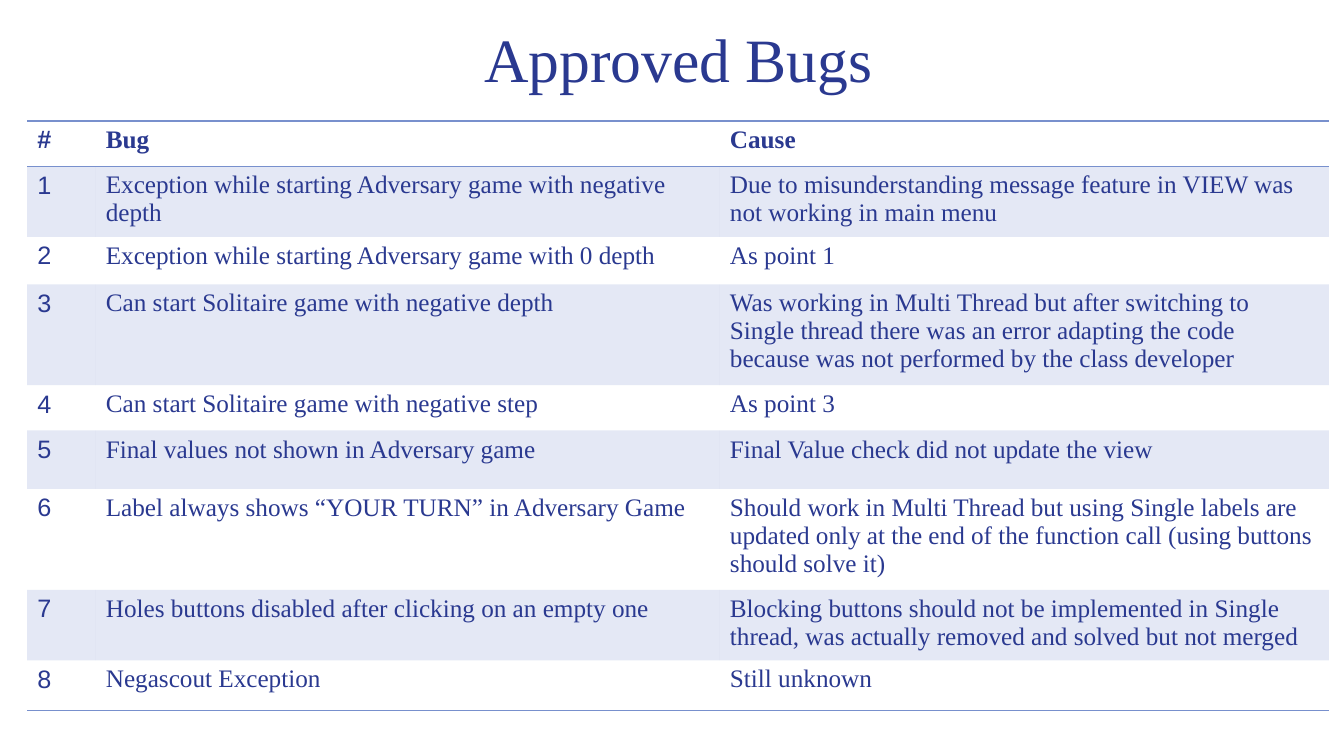
from lxml.etree import SubElement
from pptx import Presentation
from pptx.dml.color import RGBColor
from pptx.enum.text import MSO_ANCHOR as Anchor, PP_ALIGN as Align
from pptx.oxml.ns import qn
from pptx.util import Inches, Pt

NAVY = "2A3990"
PERIWINKLE = "7890CD"
SERIF = "Times New Roman"
SANS = "Arial"
PLAIN_TABLE_STYLE = "{2D5ABB26-0587-4C30-8999-92F81FD0307C}"
COLUMN_WIDTHS = [0.68, 6.19, 6.04]
ROW_HEIGHTS = [0.45, 0.52, 0.47, 0.51, 0.45, 0.58, 0.56, 0.53, 0.5]
BUGS = [
    ("Exception while starting Adversary game with negative depth",
     "Due to misunderstanding message feature in VIEW was not working in main menu"),
    ("Exception while starting Adversary game with 0 depth", "As point 1"),
    ("Can start Solitaire game with negative depth",
     "Was working in Multi Thread but after switching to Single thread there was "
     "an error adapting the code because was not performed by the class developer"),
    ("Can start Solitaire game with negative step", "As point 3"),
    ("Final values not shown in Adversary game",
     "Final Value check did not update the view"),
    ("Label always shows “YOUR TURN” in Adversary Game",
     "Should work in Multi Thread but using Single labels are updated only at the "
     "end of the function call (using buttons should solve it)"),
    ("Holes buttons disabled after clicking on an empty one",
     "Blocking buttons should not be implemented in Single thread, was actually "
     "removed and solved but not merged"),
    ("Negascout Exception", "Still unknown"),
]


def color(value):
    """Turn a hex string into a colour."""
    return RGBColor.from_string(value)


def style_font(font, name, size, bold=False):
    """Set the typeface, size and weight in the slide's text colour."""
    font.name = name
    font.size = Pt(size)
    font.bold = bold
    font.color.rgb = color(NAVY)


def add_rule(cell, side):
    """Draw a thin line on one side of a cell, named by its XML tag."""
    properties = cell._tc.get_or_add_tcPr()
    line = SubElement(properties, qn(side), w=str(Pt(1)))
    fill = SubElement(line, qn("a:solidFill"))
    SubElement(fill, qn("a:srgbClr"), val=PERIWINKLE)


def add_band(cell):
    """Fill a cell with the translucent band colour."""
    cell.fill.solid()
    cell.fill.fore_color.rgb = color(PERIWINKLE)
    tint = cell._tc.tcPr.find(qn("a:solidFill")).find(qn("a:srgbClr"))
    SubElement(tint, qn("a:alpha"), val="20000")


def add_title(slide, left, top, width, height):
    """Place the centred slide title in the given box."""
    box = slide.shapes.add_textbox(
        Inches(left), Inches(top), Inches(width), Inches(height))
    frame = box.text_frame
    frame.word_wrap = True
    frame.vertical_anchor = Anchor.MIDDLE
    para = frame.paragraphs[0]
    para.text = "Approved Bugs"
    para.alignment = Align.CENTER
    para.line_spacing = 0.9
    style_font(para.font, SERIF, 44)


def add_bug_table(slide, left, top):
    """Place the numbered bug table with its corner at the given point."""
    rows = [("#", "Bug", "Cause")]
    rows += [(str(number), *bug) for number, bug in enumerate(BUGS, 1)]
    graphic = slide.shapes.add_table(
        len(rows), len(COLUMN_WIDTHS), Inches(left), Inches(top),
        Inches(sum(COLUMN_WIDTHS)), Inches(sum(ROW_HEIGHTS)))
    table = graphic.table
    table.horz_banding = False
    next(graphic.element.iter(qn("a:tableStyleId"))).text = PLAIN_TABLE_STYLE
    for column, width in zip(table.columns, COLUMN_WIDTHS):
        column.width = Inches(width)
    for row, height in zip(table.rows, ROW_HEIGHTS):
        row.height = Inches(height)
    for row_index, texts in enumerate(rows):
        for column_index, text in enumerate(texts):
            cell = table.cell(row_index, column_index)
            cell.text = text
            style_font(cell.text_frame.paragraphs[0].font,
                       SERIF if column_index else SANS, 18, row_index == 0)
            if row_index == 0:
                add_rule(cell, "a:lnT")
            if row_index in (0, len(rows) - 1):
                add_rule(cell, "a:lnB")
            if row_index % 2:
                add_band(cell)


def main():
    """Build and save the slide."""
    deck = Presentation()
    deck.slide_width = Inches(13.33)
    deck.slide_height = Inches(7.5)
    page = deck.slides.add_slide(deck.slide_layouts[6])
    add_title(page, 0.98, 0.13, 11.5, 0.98)
    add_bug_table(page, 0.27, 1.2)
    deck.save("out.pptx")


if __name__ == "__main__":
    main()
